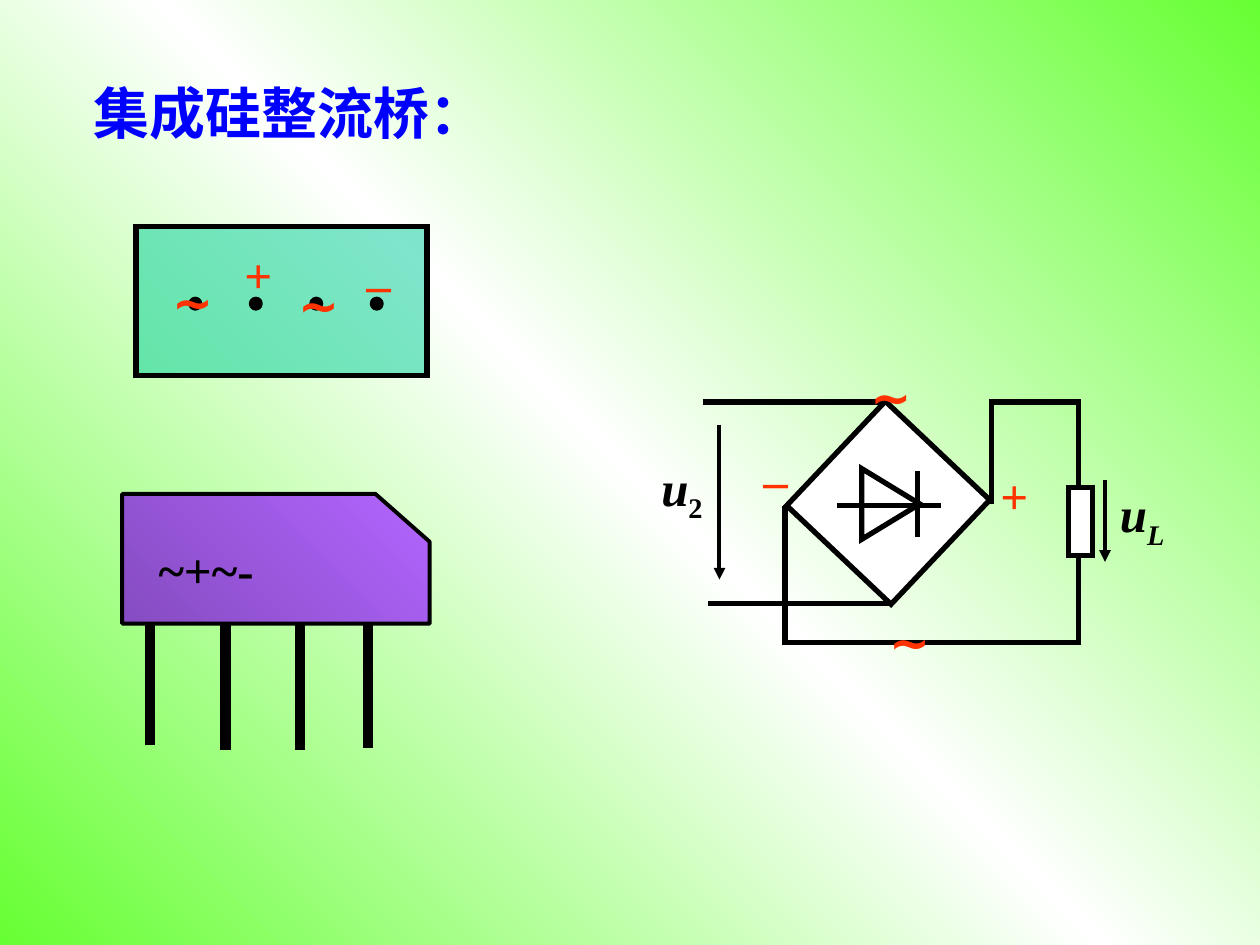
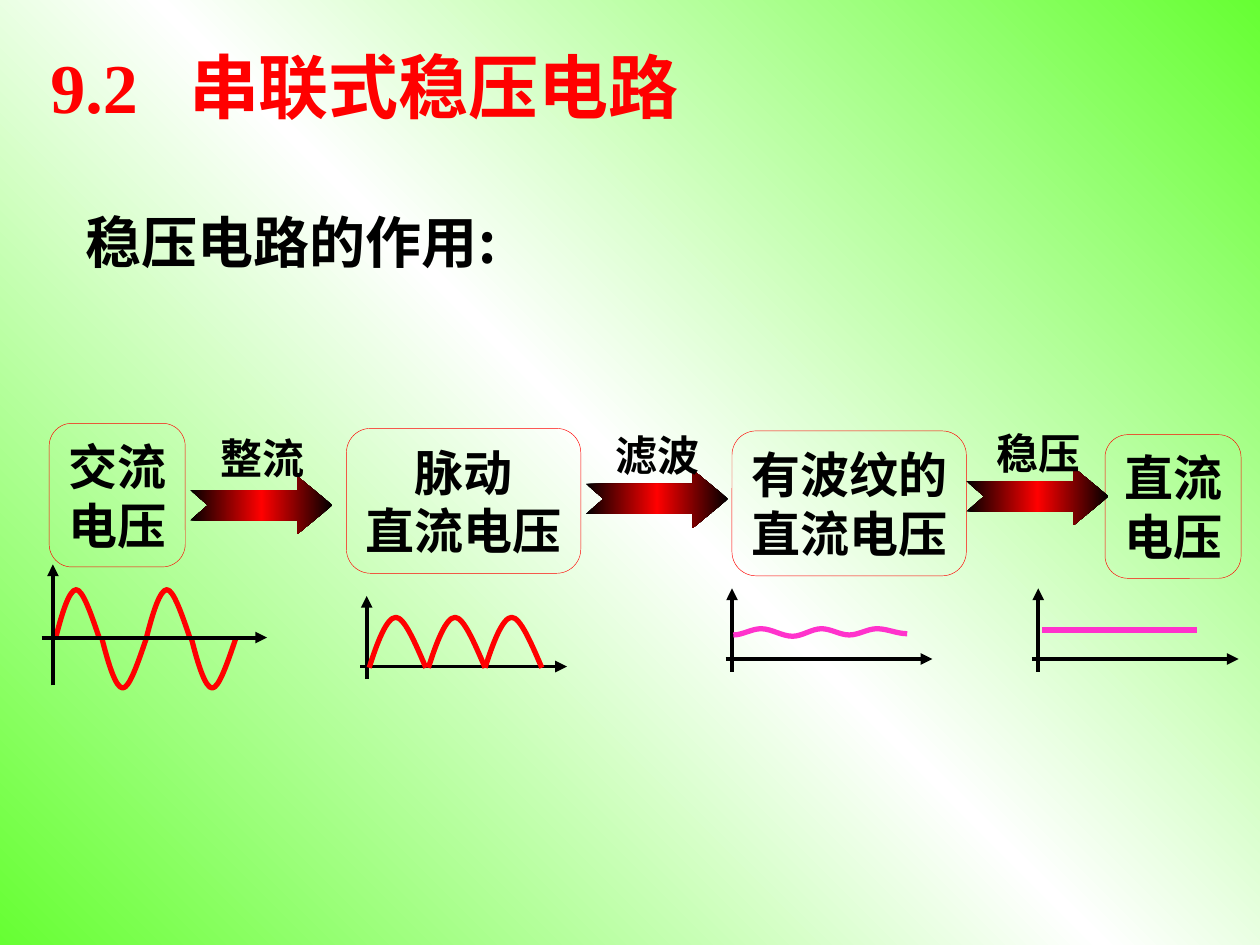
from dataclasses import dataclass
from typing import Any

from lxml import etree
from pptx import Presentation
from pptx.dml.color import RGBColor
from pptx.enum.shapes import MSO_CONNECTOR, MSO_SHAPE
from pptx.enum.text import MSO_ANCHOR, MSO_AUTO_SIZE, PP_ALIGN
from pptx.oxml.ns import qn
from pptx.util import Inches, Pt

RECTANGLE, OVAL = MSO_SHAPE.RECTANGLE, MSO_SHAPE.OVAL
TRIANGLE = MSO_SHAPE.ISOSCELES_TRIANGLE
ROUNDED = MSO_SHAPE.FLOWCHART_ALTERNATE_PROCESS
STRAIGHT = MSO_CONNECTOR.STRAIGHT
LEFT, CENTER = PP_ALIGN.LEFT, PP_ALIGN.CENTER
TOP, MIDDLE = MSO_ANCHOR.TOP, MSO_ANCHOR.MIDDLE
GROW, FIXED = MSO_AUTO_SIZE.SHAPE_TO_FIT_TEXT, MSO_AUTO_SIZE.NONE

SERIF, SANS, CHINESE = "Times New Roman", "Arial", "Noto Sans CJK SC"
BLACK, WHITE, RED, BLUE = "000000", "FFFFFF", "FF0000", "0000FF"
GREEN, SIGN_RED, PINK, TEAL = "66FF33", "FF3300", "FF33CC", "00CC99"
LIGHT_PURPLE, DARK_PURPLE = "B265FF", "864CC1"
TITLE_LAYOUT = 5

Point = tuple[float, float]
Frame = tuple[float, float, float, float]


@dataclass
class Span:
    text: str
    italic: bool = False
    subscript: bool = False


@dataclass
class Wire:
    start: Point
    end: Point
    width: float = 3
    arrow: bool = False
    colour: str = BLACK


@dataclass
class Sign:
    text: str
    frame: Frame
    font: str = SERIF


@dataclass
class Stage:
    lines: list[str]
    frame: Frame


@dataclass
class Step:
    label: str
    left: float
    top: float
    label_top: float


@dataclass
class Axes:
    """Two crossing arrows; the reaches are measured from the crossing."""
    x: float
    y: float
    before: float = 0.05
    after: float = 1.59
    below: float = 0.1
    above: float = 0.56


def rgb(colour: str) -> RGBColor:
    return RGBColor.from_string(colour)


def inches(values: tuple[float, ...]) -> list[int]:
    return [Inches(value) for value in values]


def fill_gradient(fill: Any, holder: Any, colours: list[str], angle: int) -> None:
    """Fill with evenly spaced colours; the angle turns clockwise."""
    fill.gradient()
    fill.gradient_angle = 360 - angle
    stops = holder.find(".//" + qn("a:gsLst"))
    for stop in list(stops):
        stops.remove(stop)
    for index, colour in enumerate(colours):
        position = str(100000 * index // (len(colours) - 1))
        stop = etree.SubElement(stops, qn("a:gs"), pos=position)
        etree.SubElement(stop, qn("a:srgbClr"), val=colour)


def style(shape: Any, fill: str | None = None, line: str | None = BLACK,
          width: float = 3) -> None:
    shape.shadow.inherit = False
    if fill:
        shape.fill.solid()
        shape.fill.fore_color.rgb = rgb(fill)
    else:
        shape.fill.background()
    if line:
        shape.line.color.rgb = rgb(line)
        shape.line.width = Pt(width)
    else:
        shape.line.fill.background()


def write(shape: Any, paragraphs: list[list[Span]], *, size: float, colour: str = BLACK,
          font: str = SERIF, align: Any = CENTER, anchor: Any = MIDDLE,
          before: float = 0, wrap: bool = False, fit: Any = GROW) -> Any:
    frame = shape.text_frame
    frame.word_wrap, frame.auto_size, frame.vertical_anchor = wrap, fit, anchor
    for index, spans in enumerate(paragraphs):
        para = frame.add_paragraph() if index else frame.paragraphs[0]
        para.alignment, para.space_before = align, Pt(before)
        for span in spans:
            run = para.add_run()
            run.text = span.text
            run.font.size, run.font.name = Pt(size), font
            run.font.bold, run.font.italic = True, span.italic
            run.font.color.rgb = rgb(colour)
            properties = run._r.get_or_add_rPr()
            etree.SubElement(properties, qn("a:ea"), typeface=CHINESE)
            if span.subscript:
                properties.set("baseline", "-25000")
    return frame


def add_text(slide: Any, frame: Frame, *spans: Span, **text_format: Any) -> None:
    write(slide.shapes.add_textbox(*inches(frame)), [list(spans)], **text_format)


def add_title(slide: Any, text: str, frame: Frame, **text_format: Any) -> Any:
    title = slide.shapes.title
    title.left, title.top, title.width, title.height = inches(frame)
    return write(title, [[Span(text)]], align=LEFT, fit=FIXED, **text_format)


def add_box(slide: Any, kind: Any, frame: Frame, **look: Any) -> Any:
    box = slide.shapes.add_shape(kind, *inches(frame))
    style(box, **look)
    if kind in (RECTANGLE, TRIANGLE):
        etree.SubElement(box._element.spPr.get_or_add_ln(), qn("a:miter"), lim="800000")
    return box


def add_wire(slide: Any, wire: Wire) -> None:
    line = slide.shapes.add_connector(STRAIGHT, *inches(wire.start + wire.end))
    line.line.color.rgb = rgb(wire.colour)
    line.line.width = Pt(wire.width)
    properties = line._element.spPr
    if wire.arrow:
        etree.SubElement(properties.get_or_add_ln(), qn("a:tailEnd"), type="triangle")
    etree.SubElement(properties, qn("a:effectLst"))


def add_outline(slide: Any, points: list[Point], close: bool = False, **look: Any) -> Any:
    places = [inches(point) for point in points]
    builder = slide.shapes.build_freeform(*places[0], scale=1.0)
    builder.add_line_segments(places[1:], close=close)
    outline = builder.convert_to_shape()
    style(outline, **look)
    return outline


def add_curve(slide: Any, points: list[Point], colour: str) -> None:
    """Draw Bezier arcs: a start, then two handles and an end for each arc."""
    curve = add_outline(slide, points, line=colour)
    segments = list(curve._element.iter(qn("a:lnTo")))
    for first in range(0, len(segments), 3):
        arc = etree.SubElement(segments[first].getparent(), qn("a:cubicBezTo"))
        for segment in segments[first:first + 3]:
            arc.append(segment[0])
            segment.getparent().remove(segment)


def add_lobe(slide: Any, left: float, base: float, width: float, height: float) -> None:
    """Draw half a wave; a negative height hangs below the base."""
    shape = [(0, 0), (0.14, 0.5), (0.31, 1), (0.47, 1), (0.62, 1), (0.81, 0.5), (1, 0)]
    add_curve(slide, [(left + width * x, base - height * y) for x, y in shape], RED)


def add_ripple(slide: Any, knots: list[Point]) -> None:
    """Join crests and troughs with arcs that are level at each knot."""
    points = [knots[0]]
    for (x1, y1), (x2, y2) in zip(knots, knots[1:]):
        third = (x2 - x1) / 3
        points += [(x1 + third, y1), (x2 - third, y2), (x2, y2)]
    add_curve(slide, points, PINK)


def add_axes(slide: Any, axes: Axes) -> None:
    x, y = axes.x, axes.y
    add_wire(slide, Wire((x, y + axes.below), (x, y - axes.above), 2.25, True))
    add_wire(slide, Wire((x - axes.before, y), (x + axes.after, y), 2.25, True))


def add_signs(slide: Any, signs: list[Sign]) -> None:
    for sign in signs:
        add_text(slide, sign.frame, Span(sign.text), size=28, colour=SIGN_RED,
                 font=sign.font, before=17.5)


def draw_circuit(slide: Any) -> None:
    diamond = add_box(slide, RECTANGLE, (6.48, 3.42, 1.14, 1.14), fill=WHITE)
    diamond.rotation = 313.4
    diode = add_box(slide, TRIANGLE, (6.79, 3.77, 0.56, 0.46), fill=WHITE)
    diode.rotation = 90
    for wire in [
        Wire((7.47, 4.01), (6.64, 4.01)), Wire((7.28, 3.74), (7.28, 4.26)),
        Wire((5.58, 3.19), (7.04, 3.19)), Wire((5.62, 4.79), (7.08, 4.79)),
        Wire((7.87, 4), (7.87, 3.17)), Wire((7.85, 3.19), (8.58, 3.19)),
        Wire((6.23, 4.02), (6.23, 5.12)), Wire((6.23, 5.1), (8.58, 5.1)),
        Wire((8.56, 3.17), (8.56, 5.1)),
        Wire((5.71, 3.37), (5.71, 4.6), 2.25, True),
        Wire((8.77, 3.81), (8.77, 4.46), 2.25, True),
    ]:
        add_wire(slide, wire)
    add_box(slide, RECTANGLE, (8.48, 3.87, 0.19, 0.54), fill=WHITE)
    voltage = {"size": 28, "align": LEFT, "anchor": TOP, "before": 17.5, "wrap": True}
    add_text(slide, (5.15, 3.58, 0.6, 0.63), Span("u", italic=True),
             Span("2", subscript=True), **voltage)
    add_text(slide, (8.79, 3.79, 0.67, 0.63), Span("u", italic=True),
             Span("L", italic=True, subscript=True), **voltage)
    add_signs(slide, [
        Sign("+", (7.84, 3.64, 0.42, 0.57)), Sign("–", (5.96, 3.52, 0.39, 0.57)),
        Sign(" ∼", (6.92, 4.57, 0.6, 0.57), SANS), Sign(" ∼", (6.77, 2.62, 0.6, 0.57), SANS),
    ])


def draw_package(slide: Any) -> None:
    for x, top in [(1.19, 4.49), (1.79, 4.53), (2.38, 4.53), (2.92, 4.52)]:
        add_wire(slide, Wire((x, top), (x, top + 1.42), 6))
    bottom_view = add_box(slide, RECTANGLE, (1.08, 1.8, 2.31, 1.18), fill=TEAL)
    colour = bottom_view._element.spPr.find(qn("a:solidFill"))[0]
    etree.SubElement(colour, qn("a:alpha"), val="50000")
    for pin in range(4):
        add_box(slide, OVAL, (1.51 + 0.48 * pin, 2.37, 0.08, 0.08), fill=BLACK, width=2.25)
    body = add_outline(slide, [(0.97, 3.92), (0.97, 4.95), (3.41, 4.95), (3.41, 4.3),
                               (2.98, 3.92)], close=True, width=2.25)
    fill_gradient(body.fill, body._element.spPr, [LIGHT_PURPLE, DARK_PURPLE], 135)
    add_text(slide, (1.16, 4.23, 2.11, 0.57), Span("~+~-"), size=28, align=LEFT, wrap=True)
    add_signs(slide, [
        Sign(" ∼", (1.23, 1.87, 0.6, 0.57), SANS), Sign(" ∼", (2.23, 1.89, 0.6, 0.57), SANS),
        Sign("+", (1.84, 1.89, 0.42, 0.57)), Sign("–", (2.81, 1.96, 0.39, 0.57)),
    ])


def draw_stages(slide: Any) -> None:
    for stage in [
        Stage(["交流", "电压"], (0.39, 3.36, 1.08, 1.14)),
        Stage(["脉动", "直流电压"], (2.75, 3.4, 1.86, 1.15)),
        Stage(["有波纹的", "直流电压"], (5.81, 3.42, 1.86, 1.15)),
        Stage(["直流", "电压"], (8.77, 3.45, 1.08, 1.14)),
    ]:
        box = add_box(slide, ROUNDED, stage.frame, line=RED, width=0.25)
        frame = write(box, [[Span(line)] for line in stage.lines], size=28, font=CHINESE)
        frame.margin_left = frame.margin_right = Inches(0.02)
    notched_arrow = [(0, 0.11), (0.85, 0.11), (0.85, 0), (1.13, 0.23), (0.85, 0.46),
                     (0.85, 0.35), (0, 0.35), (0.14, 0.23)]
    for step in [Step("整流", 1.51, 3.78, 3.38), Step("滤波", 4.65, 3.73, 3.36),
                 Step("稳压", 7.67, 3.71, 3.34)]:
        points = [(step.left + x, step.top + y) for x, y in notched_arrow]
        arrow = add_outline(slide, points, close=True, line=None)
        fill_gradient(arrow.fill, arrow._element.spPr, [BLACK, RED, BLACK], 180)
        add_text(slide, (step.left + 0.12, step.label_top, 0.9, 0.5), Span(step.label),
                 size=24, font=CHINESE)


def draw_waveforms(slide: Any) -> None:
    for index, left in enumerate([0.44, 0.81, 1.16, 1.52]):
        add_lobe(slide, left, 5.07, 0.35, 0.39 * (-1) ** index)
    for axes in [Axes(0.42, 5.06, before=0.09, after=1.7, below=0.38, above=0.58),
                 Axes(2.91, 5.29), Axes(5.81, 5.23), Axes(8.24, 5.23)]:
        add_axes(slide, axes)
    for left in [2.93, 3.4, 3.85]:
        add_lobe(slide, left, 5.3, 0.45, 0.4)
    add_ripple(slide, [(5.82, 5.04), (6.04, 4.99), (6.29, 5.05), (6.52, 4.99),
                       (6.74, 5.04), (6.96, 4.99), (7.2, 5.03)])
    add_wire(slide, Wire((8.27, 5), (9.5, 5), colour=PINK))


def main() -> None:
    deck = Presentation()
    deck.slide_width, deck.slide_height = Inches(10), Inches(7.5)
    master = deck.slide_master
    fill_gradient(master.background.fill, master.element.cSld, [GREEN, WHITE, GREEN], 135)
    layout = deck.slide_layouts[TITLE_LAYOUT]

    bridge = deck.slides.add_slide(layout)
    add_title(bridge, "集成硅整流桥：", (0.64, 0.57, 3.31, 0.64), size=32, colour=BLUE, anchor=TOP)
    draw_circuit(bridge)
    draw_package(bridge)

    regulator = deck.slides.add_slide(layout)
    heading = add_title(regulator, "9.2\t串联式稳压电路", (0.3, 0.4, 7.87, 0.56), size=40,
                        colour=RED, wrap=True)
    tabs = etree.SubElement(heading.paragraphs[0]._p.get_or_add_pPr(), qn("a:tabLst"))
    etree.SubElement(tabs, qn("a:tab"), pos=str(Inches(1.1)), algn="l")
    add_text(regulator, (0.53, 1.59, 3.56, 0.64), Span("稳压电路的作用:"), size=32,
             font=CHINESE, before=20)
    draw_stages(regulator)
    draw_waveforms(regulator)
    deck.save("out.pptx")


if __name__ == "__main__":
    main()
